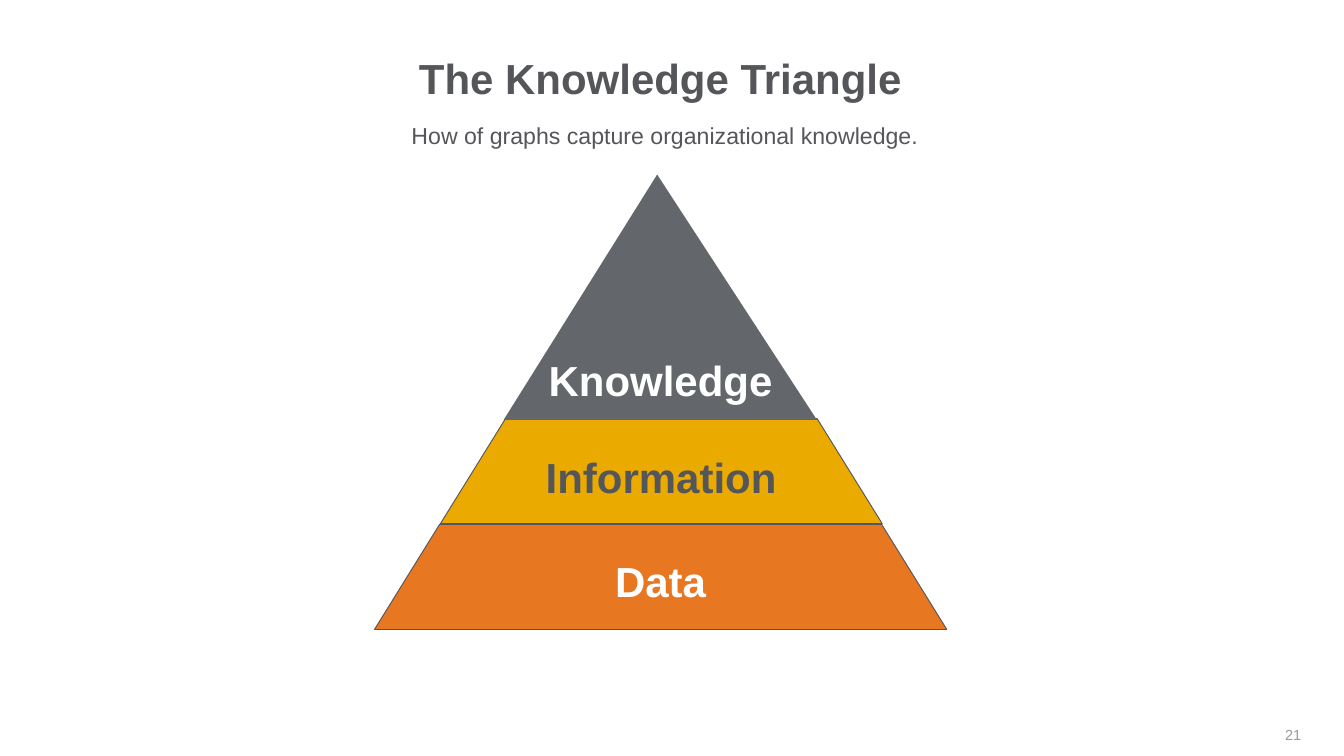
from pptx import Presentation
from pptx.dml.color import RGBColor
from pptx.enum.shapes import MSO_SHAPE
from pptx.enum.text import MSO_ANCHOR, MSO_AUTO_SIZE, PP_ALIGN
from pptx.util import Inches, Pt

TRIANGLE, TRAPEZOID = MSO_SHAPE.ISOSCELES_TRIANGLE, MSO_SHAPE.TRAPEZOID
TOP, MIDDLE = MSO_ANCHOR.TOP, MSO_ANCHOR.MIDDLE
LEFT, CENTER, RIGHT = PP_ALIGN.LEFT, PP_ALIGN.CENTER, PP_ALIGN.RIGHT
NO_AUTOFIT = MSO_AUTO_SIZE.NONE

FONT = "Arial"
HEADING_SIZE = 44
COLORS = {
    "ink": "55565A",
    "white": "FFFFFF",
    "number": "999A9B",
    "knowledge": "63666A",
    "information": "EAAA00",
    "data": "E87722",
}


def color(name):
    return RGBColor.from_string(COLORS[name])


def write(shape, text, size, ink, bold=False, align=CENTER, anchor=TOP, wrap=True):
    """Put one formatted line of text into a shape."""
    frame = shape.text_frame
    frame.text = text
    frame.auto_size = NO_AUTOFIT
    frame.word_wrap = wrap
    frame.vertical_anchor = anchor
    para = frame.paragraphs[0]
    para.alignment = align
    font = para.runs[0].font
    font.name, font.size, font.bold = FONT, Pt(size), bold
    font.color.rgb = color(ink)
    return frame


def add_title(page, text, left, top, width, height):
    title = page.shapes.title
    title.left, title.top = Inches(left), Inches(top)
    title.width, title.height = Inches(width), Inches(height)
    frame = write(title, text, HEADING_SIZE, "ink", bold=True)
    frame.paragraphs[0].line_spacing = 0.9


def add_label(page, text, left, top, width, height, size, ink, **style):
    box = page.shapes.add_textbox(
        Inches(left), Inches(top), Inches(width), Inches(height))
    return write(box, text, size, ink, **style)


def add_layer(page, kind, left, top, width, height, slant, fill):
    layer = page.shapes.add_shape(
        kind, Inches(left), Inches(top), Inches(width), Inches(height))
    layer.adjustments[0] = slant
    layer.shadow.inherit = False
    layer.fill.solid()
    layer.fill.fore_color.rgb = color(fill)
    layer.line.fill.background()
    return layer


def add_band(page, text, left, top, width, slant, fill, ink):
    """Add an outlined, labelled trapezoid."""
    band = add_layer(page, TRAPEZOID, left, top, width, 1.53, slant, fill)
    band.line.color.rgb = color("ink")
    band.line.width = Pt(1)
    write(band, text, HEADING_SIZE, ink, bold=True, anchor=MIDDLE)


def main():
    deck = Presentation()
    deck.slide_width, deck.slide_height = Inches(19.56), Inches(11)
    page = deck.slides.add_slide(deck.slide_layouts[5])

    # Heading
    add_title(page, "The Knowledge Triangle", 5.69, 0.8, 7.85, 0.81)
    add_label(page, "How of graphs capture organizational knowledge.",
              5.89, 1.72, 7.65, 0.51, 24.2, "ink", align=LEFT, wrap=False)

    # Pyramid, from the base up
    add_band(page, "Data", 5.45, 7.63, 8.33, 0.62, "data", "white")
    add_band(page, "Information", 6.41, 6.09, 6.43, 0.62, "information", "ink")
    add_layer(page, TRIANGLE, 7.33, 2.54, 4.56, 3.57, 0.49, "knowledge")
    add_label(page, "Knowledge", 7.87, 5.11, 3.49, 0.8, HEADING_SIZE, "white",
              bold=True, wrap=False)

    # Page number
    number = add_label(page, "21", 18.07, 10.4, 0.87, 0.59, 15.3, "number",
                       align=RIGHT, anchor=MIDDLE)
    number.margin_left = number.margin_right = 0
    number.margin_top = number.margin_bottom = 0

    deck.save("out.pptx")


if __name__ == "__main__":
    main()
